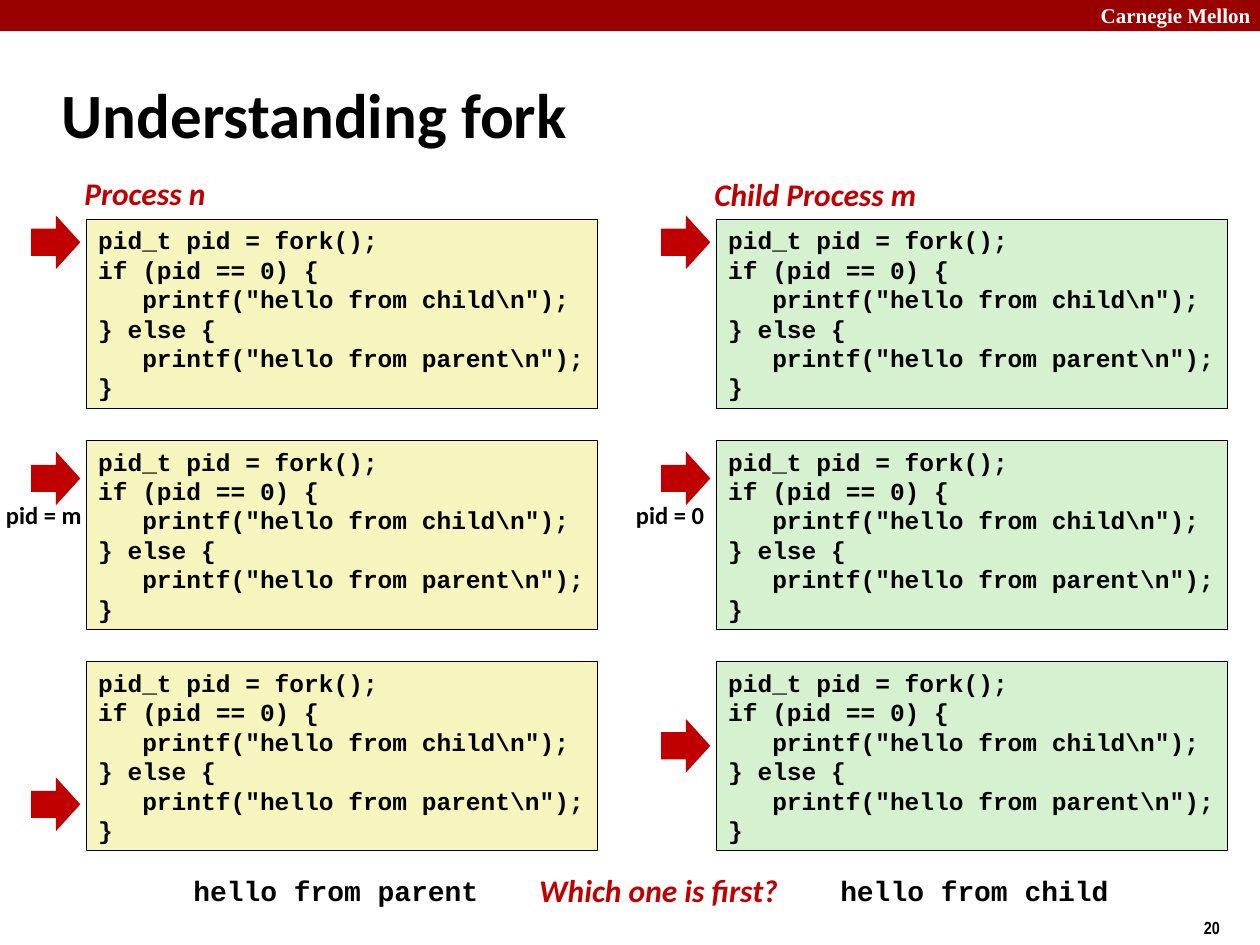
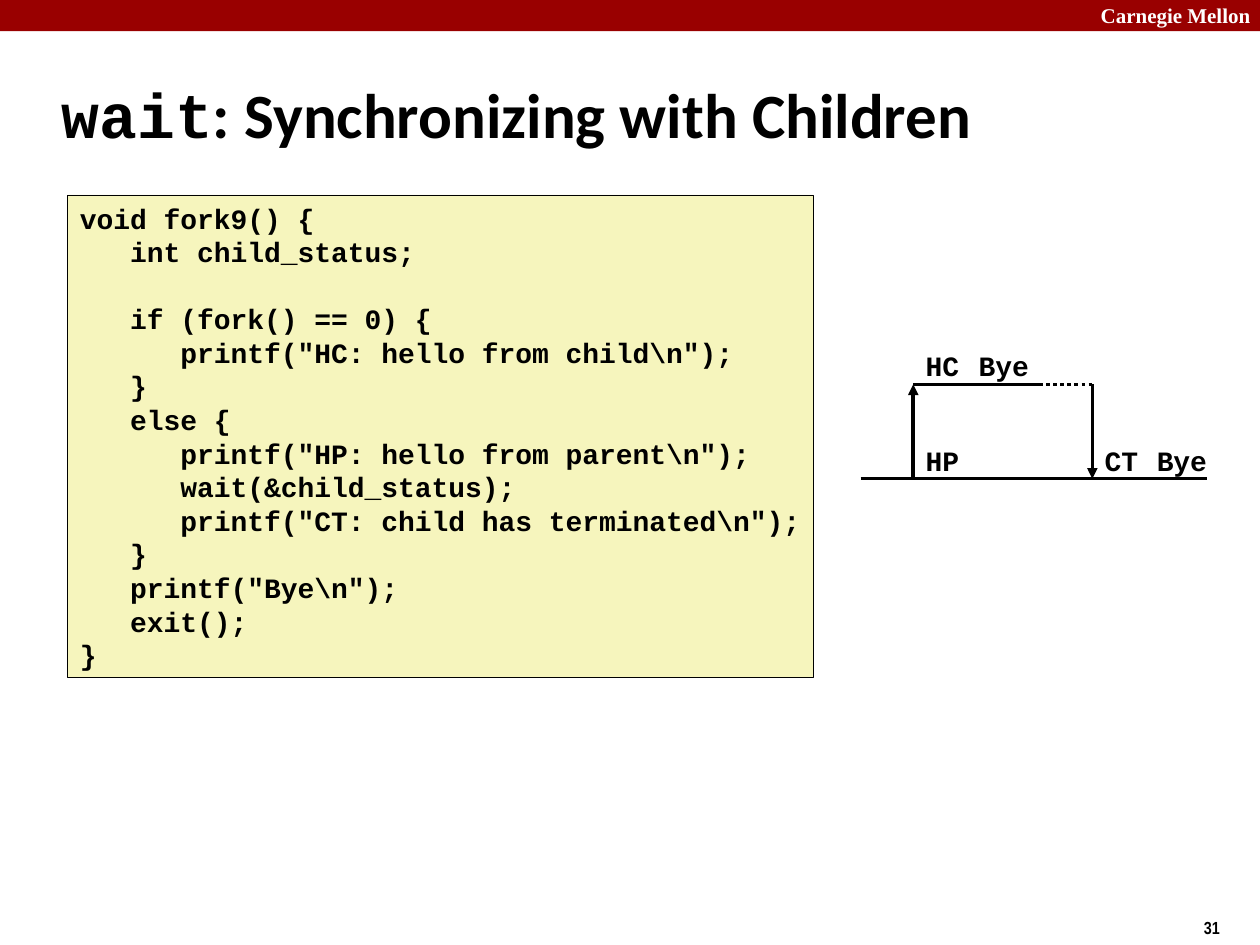
from itertools import pairwise
from lxml.etree import SubElement
from pptx import Presentation
from pptx.dml.color import RGBColor
from pptx.enum.dml import MSO_LINE
from pptx.enum.shapes import MSO_CONNECTOR, MSO_SHAPE
from pptx.enum.text import MSO_ANCHOR, MSO_AUTO_SIZE, PP_ALIGN
from pptx.oxml.ns import qn
from pptx.util import Cm, Pt

BLACK = RGBColor(0x00, 0x00, 0x00)
WHITE = RGBColor(0xFF, 0xFF, 0xFF)
BAND_RED = RGBColor(0x99, 0x00, 0x00)
ACCENT_RED = RGBColor(0xC0, 0x00, 0x00)
PARENT_YELLOW = RGBColor(0xF6, 0xF5, 0xBD)
CHILD_GREEN = RGBColor(0xD5, 0xF1, 0xCF)
BODY_FONT = "Calibri"
CODE_FONT = "Courier New"


def add_text(page, place, text, font, size, color=BLACK, italic=False, fill=None):
    place = [Cm(length) for length in place]
    if fill is None:
        box = page.shapes.add_textbox(*place)
    else:
        box = page.shapes.add_shape(MSO_SHAPE.RECTANGLE, *place)
        box.shadow.inherit = False
        box.fill.solid()
        box.fill.fore_color.rgb = fill
        box.line.color.rgb = BLACK
        box.line.width = Pt(0.25)
    frame = box.text_frame
    frame.word_wrap = False
    frame.vertical_anchor = MSO_ANCHOR.TOP
    for index, line in enumerate(text.split("\n")):
        para = frame.add_paragraph() if index else frame.paragraphs[0]
        para.alignment = PP_ALIGN.LEFT
        para.font.size = Pt(size)
        if line:
            span = para.add_run()
            span.text = line
            span.font.name = font
            span.font.size = Pt(size)
            span.font.bold = True
            span.font.italic = italic
            span.font.color.rgb = color


def add_line(page, start, end, arrow=False, dotted=False):
    points = [Cm(length) for length in (*start, *end)]
    line = page.shapes.add_connector(MSO_CONNECTOR.STRAIGHT, *points)
    line.line.color.rgb = BLACK
    line.line.width = Pt(2)
    if dotted:
        line.line.dash_style = MSO_LINE.ROUND_DOT
    if arrow:
        SubElement(line.line._get_or_add_ln(), qn("a:tailEnd"), type="triangle")
    SubElement(line._element.spPr, qn("a:effectLst"))


deck = Presentation()
deck.slide_width = Cm(25.4)
deck.slide_height = Cm(19.05)

headings = [
    ("20", [("Understanding fork", BODY_FONT)]),
    ("31", [("wait", CODE_FONT), (": Synchronizing with Children", BODY_FONT)]),
]
for number, title_runs in headings:
    page = deck.slides.add_slide(deck.slide_layouts[5])
    band = page.shapes.add_shape(MSO_SHAPE.RECTANGLE, 0, 0, deck.slide_width, Cm(0.63))
    band.shadow.inherit = False
    band.fill.solid()
    band.fill.fore_color.rgb = BAND_RED
    band.line.fill.background()
    add_text(page, (21.94, -0.08, 3.63, 0.76), "Carnegie Mellon", "Times New Roman", 12, WHITE)
    add_text(page, (24.02, 18.37, 1.9, 0.69), number, "Arial Narrow", 10)

    title = page.shapes.title
    title.left, title.top = Cm(0.99), Cm(1.22)
    title.width, title.height = Cm(21.08), Cm(2.11)
    title.text_frame.auto_size = MSO_AUTO_SIZE.NONE
    title.text_frame.vertical_anchor = MSO_ANCHOR.MIDDLE
    para = title.text_frame.paragraphs[0]
    para.alignment = PP_ALIGN.LEFT
    for words, font in title_runs:
        span = para.add_run()
        span.text = words
        span.font.name = font
        span.font.size = Pt(36)
        span.font.bold = True
        span.font.color.rgb = BLACK

fork_page, wait_page = deck.slides

FORK_CODE = r"""pid_t pid = fork();
if (pid == 0) {
   printf("hello from child\n");
} else {
   printf("hello from parent\n");
}"""

COLUMN_STEP = 12.7
ROW_STEP = 4.46
processes = [
    ("Process n", 3.38, 3.1, PARENT_YELLOW, "pid = m", 2.2, (4.34, 9.1, 15.67)),
    ("Child Process m", 3.4, 4.8, CHILD_GREEN, "pid = 0", 2.1, (4.34, 9.1, 14.49)),
]
for column, process in enumerate(processes):
    name, name_top, name_width, fill, pid, pid_width, arrow_tops = process
    shift = column * COLUMN_STEP
    add_text(fork_page, (1.45 + shift, name_top, name_width, 1.02), name,
             BODY_FONT, 18, ACCENT_RED, italic=True)
    for row, arrow_top in enumerate(arrow_tops):
        add_text(fork_page, (1.73 + shift, 4.42 + row * ROW_STEP, 10.31, 3.81),
                 FORK_CODE, CODE_FONT, 14, fill=fill)
        arrow = fork_page.shapes.add_shape(
            MSO_SHAPE.RIGHT_ARROW, Cm(0.63 + shift), Cm(arrow_top), Cm(0.99), Cm(1.09))
        arrow.shadow.inherit = False
        arrow.fill.solid()
        arrow.fill.fore_color.rgb = ACCENT_RED
        arrow.line.fill.background()
    add_text(fork_page, (-0.13 + shift, 9.96, pid_width, 0.86), pid, BODY_FONT, 14)

add_text(fork_page, (3.65, 17.48, 6.4, 0.94), "hello from parent", CODE_FONT, 16)
add_text(fork_page, (16.69, 17.48, 6.1, 0.94), "hello from child", CODE_FONT, 16)
add_text(fork_page, (10.62, 17.43, 5.5, 1.02), "Which one is first?",
         BODY_FONT, 18, ACCENT_RED, italic=True)

WAIT_CODE = r"""void fork9() {
   int child_status;

   if (fork() == 0) {
      printf("HC: hello from child\n");
   }
   else {
      printf("HP: hello from parent\n");
      wait(&child_status);
      printf("CT: child has terminated\n");
   }
   printf("Bye\n");
   exit();
}"""
add_text(wait_page, (1.36, 3.93, 15.04, 9.73), WAIT_CODE, CODE_FONT, 16, fill=PARENT_YELLOW)

PARENT_Y = 9.65
CHILD_Y = 7.75
START, FORK, CHILD_PRINT, CHILD_EXIT, REAP, PARENT_PRINT, END = (
    17.35, 18.41, 19.48, 20.95, 22.02, 23.07, 24.33)

for left, right in pairwise((START, FORK, CHILD_PRINT, CHILD_EXIT, REAP, PARENT_PRINT, END)):
    add_line(wait_page, (left, PARENT_Y), (right, PARENT_Y))
for left, right in pairwise((FORK, CHILD_PRINT, CHILD_EXIT)):
    add_line(wait_page, (left, CHILD_Y), (right, CHILD_Y))
add_line(wait_page, (CHILD_EXIT, CHILD_Y), (REAP, CHILD_Y), dotted=True)
add_line(wait_page, (FORK, PARENT_Y), (FORK, CHILD_Y), arrow=True)
add_line(wait_page, (REAP, CHILD_Y), (REAP, PARENT_Y), arrow=True)

events = [
    ("HC", FORK, CHILD_Y, 1.4),
    ("Bye", CHILD_PRINT, CHILD_Y, 1.7),
    ("HP", FORK, PARENT_Y, 1.4),
    ("CT", REAP, PARENT_Y, 1.4),
    ("Bye", PARENT_PRINT, PARENT_Y, 1.7),
]
for event, left, line_y, width in events:
    add_text(wait_page, (left, line_y - 0.84, width, 0.94), event, CODE_FONT, 16)

deck.save("out.pptx")
